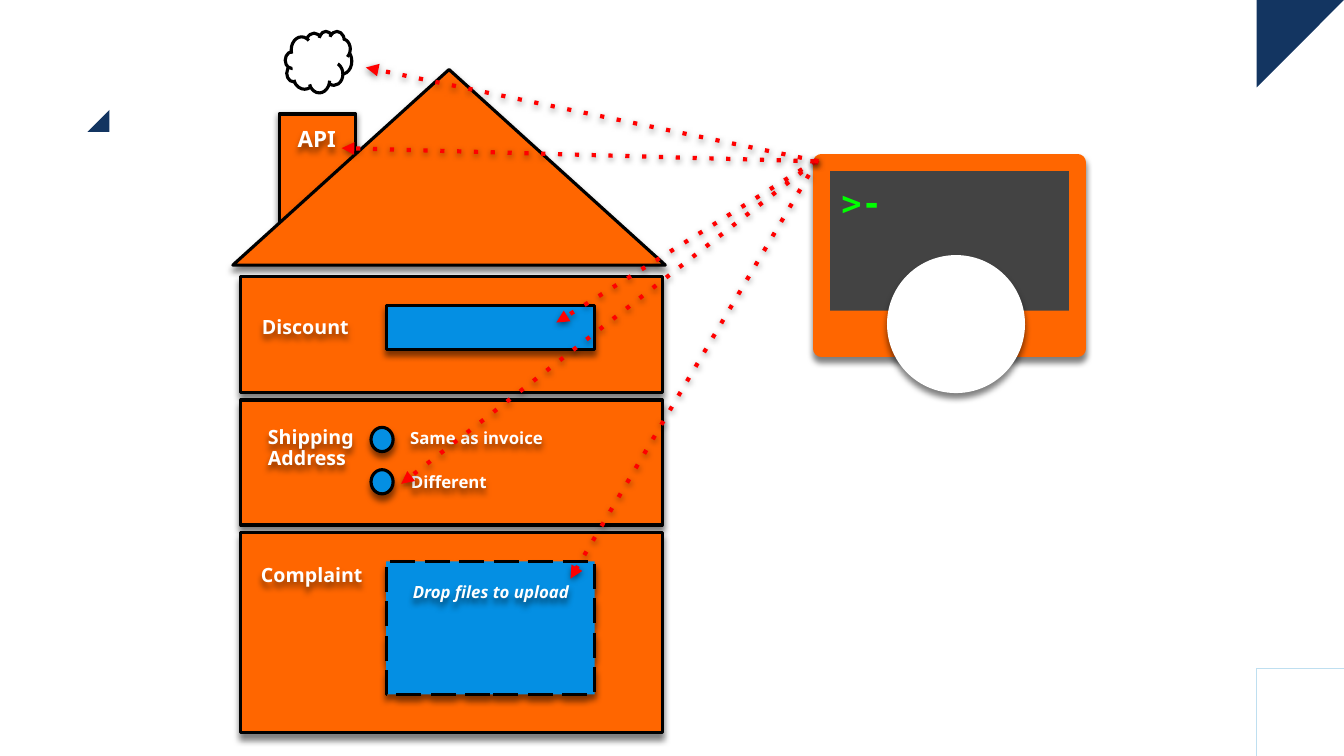
from lxml.etree import SubElement
from pptx import Presentation
from pptx.dml.color import RGBColor
from pptx.enum.shapes import MSO_CONNECTOR as Link, MSO_SHAPE as Form
from pptx.enum.text import PP_ALIGN as Align
from pptx.oxml.ns import qn
from pptx.util import Pt

ORANGE = RGBColor(0xFF, 0x66, 0x00)
BLUE = RGBColor(0x04, 0x8F, 0xE3)
NAVY = RGBColor(0x13, 0x35, 0x61)
PALE = RGBColor(0xBF, 0xDF, 0xF0)
GRAY = RGBColor(0x43, 0x43, 0x43)
GREEN = RGBColor(0x00, 0xFF, 0x00)
RED = RGBColor(0xFF, 0x00, 0x00)
WHITE = RGBColor(0xFF, 0xFF, 0xFF)
BLACK = RGBColor(0x00, 0x00, 0x00)
SANS, MONO = "Noto Sans", "DejaVu Sans Mono"

# Content: all lengths in points
WIDE, HIGH = 960, 540
EDGE = 62.4
FLOORS = [(197.3, 82.8), (285.8, 89.3), (380.2, 143.3)]  # top, height
FLOOR_X, FLOOR_W = 172, 301
FIELD_X, FIELD_W = 275.8, 149
RADIOS = [305.3, 335.5]
LABELS = [  # text, left, top, width, height, size
    ("Discount", 180, 217.5, 90, 32, 14),
    ("Shipping\nAddress", 184.3, 299, 89, 48, 14),
    ("Same as invoice", 285.9, 298, 130, 32, 12),
    ("Different", 286.4, 329.8, 128, 32, 12),
    ("Complaint", 179.3, 395, 104, 32, 14),
    ("API", 205.6, 82, 55, 32, 16),
]
DROP = ("Drop files to upload", 284.4, 408.2, 132.5, 88, 12)
PROMPT = (">-", 594, 122.4, 72, 27.4, 24)
RAYS = [  # start x, start y, end x, end y
    (583.2, 114.5, 397.4, 230.4),
    (582.5, 115.2, 286.6, 345.6),
    (583.9, 114.5, 407.5, 413.3),
    (581.8, 115.2, 244.1, 105.8),
    (584.6, 115.2, 261.4, 48.2),
]

deck = Presentation()
deck.slide_width, deck.slide_height = Pt(WIDE), Pt(HIGH)
slide = deck.slides.add_slide(deck.slide_layouts[6])
shapes = slide.shapes


def shade(shape, drop):
    """Set a soft black shadow below the shape, or none if drop is 0."""
    effect = SubElement(shape._element.spPr, qn("a:effectLst"))
    if drop:
        outer = SubElement(effect, qn("a:outerShdw"), blurRad=str(Pt(4.5)),
                           dist=str(Pt(drop)), dir="5400000", algn="t", rotWithShape="0")
        tint = SubElement(outer, qn("a:srgbClr"), val="000000")
        SubElement(tint, qn("a:alpha"), val="50000")


def trim(shape, dash=None, head=False):
    """Style the line: dash, round corners, arrowhead."""
    ln = shape.line._get_or_add_ln()
    if dash:
        SubElement(ln, qn("a:prstDash"), val=dash)
    SubElement(ln, qn("a:round"))
    if head:
        SubElement(ln, qn("a:tailEnd"), type="triangle")


def draw(form, x, y, w, h, fill, line=None, width=2.25, drop=0, dash=None):
    shape = shapes.add_shape(form, Pt(x), Pt(y), Pt(w), Pt(h))
    shape.fill.solid()
    shape.fill.fore_color.rgb = fill
    if line is None:
        shape.line.fill.background()
    else:
        shape.line.color.rgb = line
        shape.line.width = Pt(width)
        trim(shape, dash)
    shade(shape, drop)
    return shape


def write(text, x, y, w, h, size, color=WHITE, face=SANS, drop=3.8,
          align=Align.LEFT, slant=False):
    box = shapes.add_textbox(Pt(x), Pt(y), Pt(w), Pt(h))
    frame = box.text_frame
    frame.word_wrap = True
    frame.margin_left = frame.margin_right = Pt(7.2)
    frame.margin_top = frame.margin_bottom = Pt(7.2)
    frame.text = text
    for para in frame.paragraphs:
        para.alignment = align
        if "\n" in text:
            para.line_spacing = 0.86
        font = para.font
        font.name, font.size, font.bold, font.italic = face, Pt(size), True, slant
        font.color.rgb = color
    shade(box, drop)


# Corner decoration
draw(Form.RIGHT_TRIANGLE, 62.4, 78.5, 15.8, 15.8, NAVY)._element.spPr.xfrm.set("flipH", "1")
draw(Form.RIGHT_TRIANGLE, WIDE - EDGE, 0, EDGE, EDGE, NAVY).rotation = 90
draw(Form.RECTANGLE, WIDE - EDGE, HIGH - EDGE, EDGE, EDGE, WHITE, PALE, 0.5)

# Terminal
draw(Form.RECTANGLE, 586.8, 115.9, 182.9, 133.2, GRAY, ORANGE, 12, 3.8)
draw(Form.RECTANGLE, 590.4, 221.8, 179.3, 27.4, ORANGE)
draw(Form.OVAL, 633.6, 182.2, 98.6, 98.6, WHITE, drop=3.8)
write(*PROMPT, color=GREEN, face=MONO, drop=0)

# House: chimney, roof, floors, smoke
draw(Form.RECTANGLE, 199.4, 81.4, 54.7, 80.6, ORANGE, BLACK, drop=1.5)
draw(Form.ISOSCELES_TRIANGLE, 166.3, 49.7, 308.9, 139.7, ORANGE, BLACK, drop=3)
for top, tall in FLOORS:
    draw(Form.RECTANGLE, FLOOR_X, top, FLOOR_W, tall, ORANGE, BLACK, drop=3.8)
draw(Form.CLOUD, 203.8, 22.3, 47.5, 43.9, WHITE, BLACK)

# Form fields and labels
draw(Form.RECTANGLE, FIELD_X, 218.2, FIELD_W, 31.7, BLUE, BLACK, drop=3.8)
draw(Form.RECTANGLE, FIELD_X, 401, FIELD_W, 95, BLUE, BLACK, drop=3.8, dash="lgDash")
for top in RADIOS:
    draw(Form.OVAL, 265, top, 15.8, 17.3, BLUE, BLACK, drop=3.8)
for label in LABELS:
    write(*label)
write(*DROP, align=Align.CENTER, slant=True)

# Arrows from the terminal
for ray in RAYS:
    arrow = shapes.add_connector(Link.STRAIGHT, *map(Pt, ray))
    arrow.line.color.rgb = RED
    arrow.line.width = Pt(3)
    trim(arrow, "dot", head=True)
    shade(arrow, 1.5)

deck.save("out.pptx")
